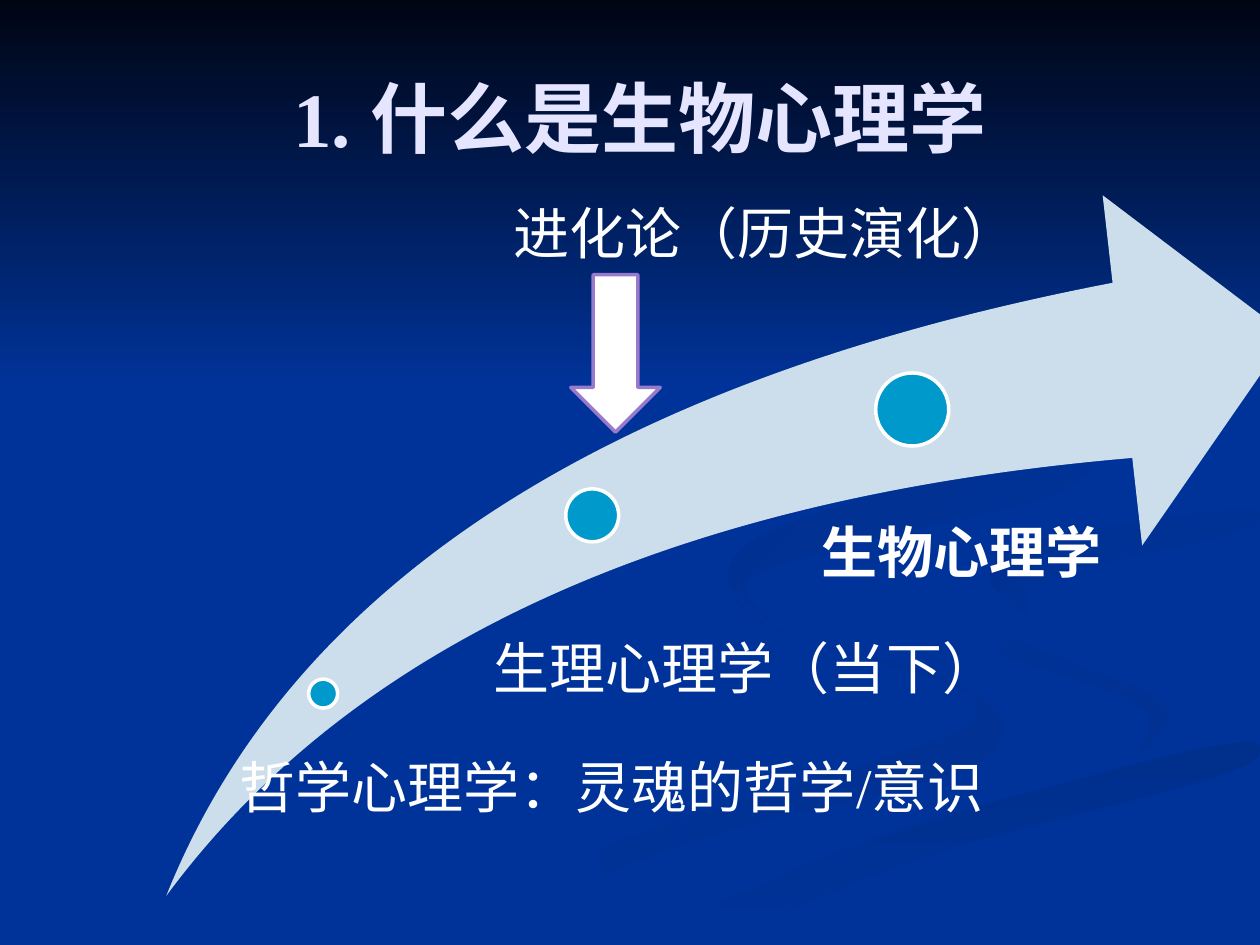
from pptx import Presentation
from pptx.dml.color import RGBColor
from pptx.enum.shapes import MSO_SHAPE
from pptx.enum.text import MSO_ANCHOR, PP_ALIGN
from pptx.util import Inches, Pt

SWOOSH, OVAL = MSO_SHAPE.SWOOSH_ARROW, MSO_SHAPE.OVAL
DOWN_ARROW, RECTANGLE = MSO_SHAPE.DOWN_ARROW, MSO_SHAPE.RECTANGLE
TOP, MIDDLE = MSO_ANCHOR.TOP, MSO_ANCHOR.MIDDLE
LEFT, CENTER = PP_ALIGN.LEFT, PP_ALIGN.CENTER

FONT = "Times New Roman"
NAVY, WHITE = "003399", "FFFFFF"

RIBBONS = [
    ((NAVY, "003193", 0), [
        (7.8, 5.5), (6.1, 5), (5.7, 4.6), (6, 5), (7.7, 5.4), (7.8, 5.8),
        (5, 6.6), (3, 7.49), (3.6, 7.49), (5.3, 6.7), (7.8, 6.1), (8, 5.8)]),
    ((NAVY, "003193", 45), [
        (9.4, 5.6), (8.1, 5.1), (7.2, 4.6), (7.6, 5.1), (9.2, 5.6), (9, 6.05)]),
    (("002F8C", NAVY, 90), [
        (5, 7.49), (5.7, 7.49), (7.2, 6.8), (10, 6.1), (10, 5.8), (7, 6.6)]),
    (("003091", NAVY, 45), [
        (7.8, 4.6), (8.2, 4.95), (8.1, 4.6), (10, 4.2), (10, 4), (8, 4.3)]),
    (("002F8E", NAVY, 45), [
        (6.8, 4.3), (8.6, 3.9), (8.9, 3.2), (7.6, 2.4), (8.9, 3.4),
        (6, 4.2), (5.7, 4.6), (6.2, 5), (5.8, 4.6)]),
]

MILESTONES = [(2.45, 5.39, 0.23), (4.49, 3.88, 0.42), (6.95, 2.96, 0.58)]

STAGES = [
    ("哲学心理学：灵魂的哲学/意识", (1.78, 6.03, 7.71, 0.71), 0.12, False),
    ("生理心理学（当下）", (3.7, 5.09, 4.77, 0.71), 0.22, False),
    ("生物心理学", (6.21, 4.17, 4.05, 0.76), 0.31, True),
]


def color(hex_string):
    """Return the colour for a hex string."""
    return RGBColor.from_string(hex_string)


def paint(shape, fill, line=None):
    """Fill a shape with one colour or with (start, end, clockwise angle)."""
    shape.shadow.inherit = False
    if len(fill) == 1:
        shape.fill.solid()
        shape.fill.fore_color.rgb = color(fill[0])
    else:
        start, end, angle = fill
        shape.fill.gradient()
        shape.fill.gradient_angle = -angle % 360
        for stop, stop_color in zip(shape.fill.gradient_stops, (start, end)):
            stop.color.rgb = color(stop_color)
    if line:
        shape.line.color.rgb = color(line)
        shape.line.width = Pt(2)
    else:
        shape.line.fill.background()


def smooth(points, rounds=3, cut=0.2):
    """Round a closed outline by cutting its corners repeatedly."""
    for _ in range(rounds):
        pairs = list(zip(points, points[1:] + points[:1]))
        points = [(x + (next_x - x) * share, y + (next_y - y) * share)
                  for (x, y), (next_x, next_y) in pairs
                  for share in (cut, 1 - cut)]
    return points


def add_ribbon(slide, fill, points):
    """Draw one closed background ribbon."""
    corners = [(Inches(x), Inches(y)) for x, y in smooth(points)]
    builder = slide.shapes.build_freeform(*corners[0])
    builder.add_line_segments(corners[1:], close=True)
    paint(builder.convert_to_shape(), fill)


def add_preset(slide, kind, box, fill, line=None):
    """Add a painted preset shape."""
    shape = slide.shapes.add_shape(kind, *map(Inches, box))
    paint(shape, fill, line)
    return shape


def add_text(slide, text, box, size=32, font_color=WHITE, bold=False, align=LEFT,
             anchor=TOP, insets=(0.1, 0.05, 0.1, 0.05), spacing=1.0, wrap=True):
    """Add a text box with a single paragraph."""
    frame = slide.shapes.add_textbox(*map(Inches, box)).text_frame
    frame.word_wrap = wrap
    frame.vertical_anchor = anchor
    (frame.margin_left, frame.margin_top,
     frame.margin_right, frame.margin_bottom) = map(Inches, insets)
    paragraph = frame.paragraphs[0]
    paragraph.text = text
    paragraph.alignment = align
    paragraph.line_spacing = spacing
    paragraph.font.name = FONT
    paragraph.font.size = Pt(size)
    paragraph.font.bold = bold
    paragraph.font.color.rgb = color(font_color)


def main():
    """Build the slide and save it."""
    presentation = Presentation()
    presentation.slide_width = Inches(10)
    presentation.slide_height = Inches(7.5)
    slide = presentation.slides.add_slide(presentation.slide_layouts[6])
    slide.background.fill.solid()
    slide.background.fill.fore_color.rgb = color(NAVY)

    for fill, points in RIBBONS:
        add_ribbon(slide, fill, points)
    add_preset(slide, RECTANGLE, (0, 0, 10, 3.08), ("000514", NAVY, 90))

    swoosh = add_preset(slide, SWOOSH, (1.32, 1.55, 8.9, 5.56), ("CCDEEC",))
    swoosh.adjustments[0] = swoosh.adjustments[1] = 0.25
    for left, top, diameter in MILESTONES:
        add_preset(slide, OVAL, (left, top, diameter, diameter), ("0099CC",), WHITE)
    for text, box, inset, bold in STAGES:
        add_text(slide, text, box, bold=bold, insets=(inset, 0, 0, 0), spacing=0.9)

    add_text(slide, "进化论（历史演化）", (3.98, 1.53, 4.24, 0.64), wrap=False)
    add_preset(slide, DOWN_ARROW, (4.53, 2.18, 0.71, 1.25), (WHITE,), "9879CB")
    add_text(slide, "1. 什么是生物心理学", (0.58, 0.3, 9, 1.25), size=44,
             font_color="E5E5FF", bold=True, align=CENTER, anchor=MIDDLE)
    presentation.save("out.pptx")


if __name__ == "__main__":
    main()
